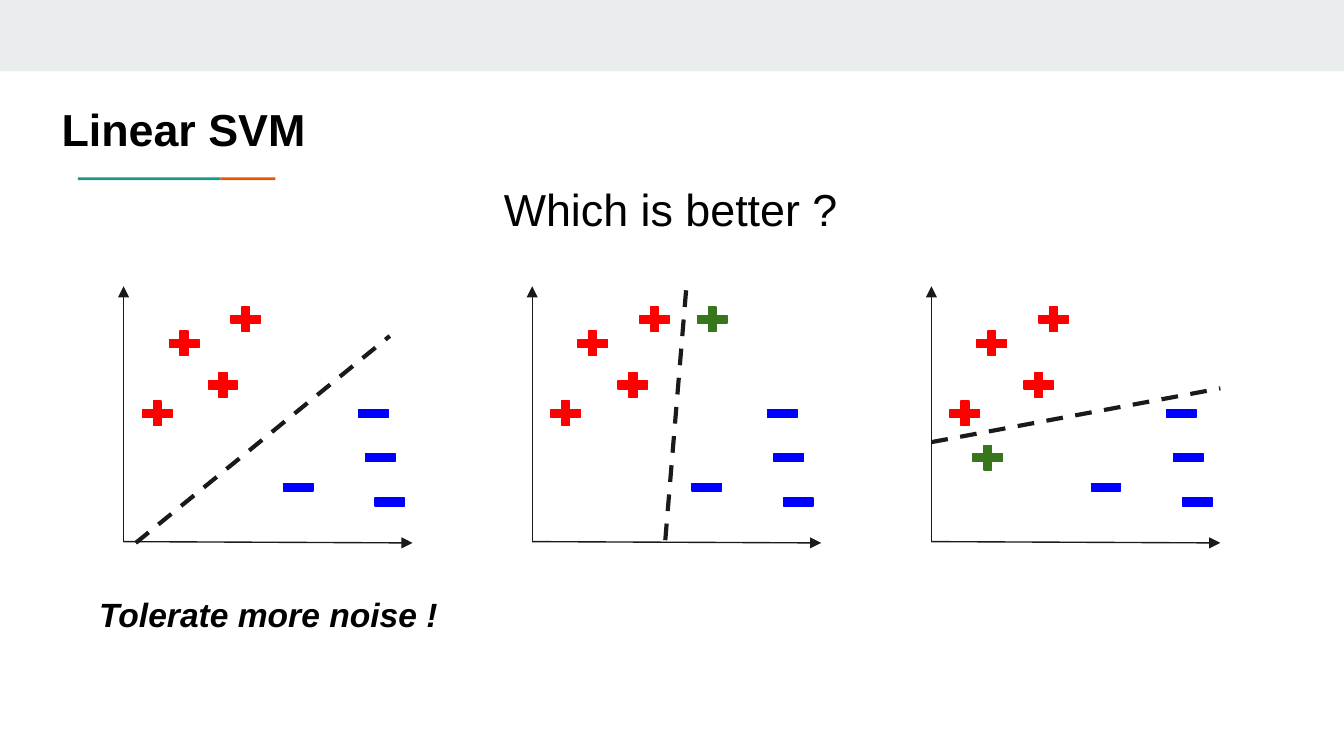
from lxml import etree
from pptx import Presentation
from pptx import util as u
from pptx.dml.color import RGBColor
from pptx.enum import dml, shapes, text
from pptx.oxml.ns import qn

COLOURS = {
    "band": "E9EDEE", "teal": "1A9988", "orange": "EB5600",
    "ink": "1A1A1A", "black": "000000",
    "positive": "FF0000", "negative": "0000FF", "noise": "38761D",
}
PLUS = shapes.MSO_SHAPE.MATH_PLUS
MINUS = shapes.MSO_SHAPE.MATH_MINUS
RECTANGLE = shapes.MSO_SHAPE.RECTANGLE

SLIDE_WIDTH = 10
SLIDE_HEIGHT = SLIDE_WIDTH * 9 / 16
AXIS_BASE, AXIS_TOP, AXIS_WIDTH = 4.03, 2.13, 2.15
# Sample offsets are measured from the vertical axis, heights from the slide top.
POSITIVES = [(0.3, 2.43), (0.76, 2.25), (0.1, 2.95)]
NEGATIVES = [(1.15, 3.5), (1.71, 2.95), (1.83, 3.61), (1.76, 3.28)]
# Axis position, offset of the fourth positive, separating line, noise sample
PLOTS = [
    (0.92, 0.59, (1.01, 4.04, 2.9, 2.5), None),
    (3.96, 0.6, (4.95, 4.02, 5.11, 2.1), (1.19, 2.25)),
    (6.93, 0.65, (6.93, 3.29, 9.08, 2.89), (0.27, 3.28)),
]


def rgb(name):
    return RGBColor.from_string(COLOURS[name])


class SlideBuilder:
    """Holds the shared style and the slide being drawn."""

    font = "Arial"
    inset = u.Inches(0.1)
    marker_size = (0.3, 0.25)
    thin = u.Pt(0.75)
    thick = u.Pt(2.25)

    def __init__(self, slide):
        self.slide = slide

    def shape(self, kind, left, top, width, height, colour):
        shape = self.slide.shapes.add_shape(
            kind, *map(u.Inches, (left, top, width, height)))
        shape.shadow.inherit = False
        shape.fill.solid()
        shape.fill.fore_color.rgb = rgb(colour)
        shape.line.fill.background()
        return shape

    def marker(self, kind, left, top, colour):
        marker = self.shape(kind, left, top, *self.marker_size, colour)
        marker.adjustments[0] = 0.235
        marker.line.color.rgb = rgb(colour)
        marker.line.width = self.thin

    def line(self, start_x, start_y, end_x, end_y, width):
        connector = self.slide.shapes.add_connector(
            shapes.MSO_CONNECTOR.STRAIGHT,
            *map(u.Inches, (start_x, start_y, end_x, end_y)))
        connector.line.color.rgb = rgb("ink")
        connector.line.width = width
        etree.SubElement(connector._element.spPr, qn("a:effectLst"))
        return connector

    def axis(self, *ends):
        connector = self.line(*ends, self.thin)
        outline = connector._element.spPr.find(qn("a:ln"))
        etree.SubElement(outline, qn("a:tailEnd"), type="triangle")

    def separator(self, *ends):
        connector = self.line(*ends, self.thick)
        connector.line.dash_style = dml.MSO_LINE.DASH

    def label(self, words, left, top, width, height, size, bold=False, italic=False):
        box = self.slide.shapes.add_textbox(
            *map(u.Inches, (left, top, width, height)))
        frame = box.text_frame
        frame.word_wrap = True
        frame.vertical_anchor = text.MSO_ANCHOR.TOP
        frame.margin_left = frame.margin_right = self.inset
        frame.margin_top = frame.margin_bottom = self.inset
        run = frame.paragraphs[0].add_run()
        run.text = words
        run.font.name = self.font
        run.font.size = u.Pt(size)
        run.font.bold = bold
        run.font.italic = italic
        run.font.color.rgb = rgb("black")

    def plot(self, axis_x, fourth_offset, separator, noise):
        """Draws one scatter with its axes, samples and separating line."""
        self.axis(axis_x, AXIS_BASE, axis_x, AXIS_TOP)
        self.axis(axis_x, AXIS_BASE, axis_x + AXIS_WIDTH, AXIS_BASE + 0.01)
        for offset, top in POSITIVES + [(fourth_offset, 2.74)]:
            self.marker(PLUS, axis_x + offset, top, "positive")
        for offset, top in NEGATIVES:
            self.marker(MINUS, axis_x + offset, top, "negative")
        self.separator(*separator)
        if noise:
            offset, top = noise
            self.marker(PLUS, axis_x + offset, top, "noise")


def main():
    presentation = Presentation()
    presentation.slide_width = u.Inches(SLIDE_WIDTH)
    presentation.slide_height = u.Inches(SLIDE_HEIGHT)
    slide = presentation.slides.add_slide(presentation.slide_layouts[6])
    builder = SlideBuilder(slide)

    builder.shape(RECTANGLE, 0, 0, SLIDE_WIDTH, 0.53, "band")
    builder.shape(RECTANGLE, 1.64, 1.32, 0.41, 0.02, "orange")
    builder.shape(RECTANGLE, 0.58, 1.32, 1.06, 0.02, "teal")
    builder.label("Linear SVM", 0.36, 0.66, 2.07, 0.57, 24, bold=True)
    for plot in PLOTS:
        builder.plot(*plot)
    builder.label("Which is better ?", 3.65, 1.25, 2.71, 0.66, 24)
    builder.label("Tolerate more noise !", 0.64, 4.32, 2.84, 0.49, 18,
                  bold=True, italic=True)

    presentation.save("out.pptx")


if __name__ == "__main__":
    main()
